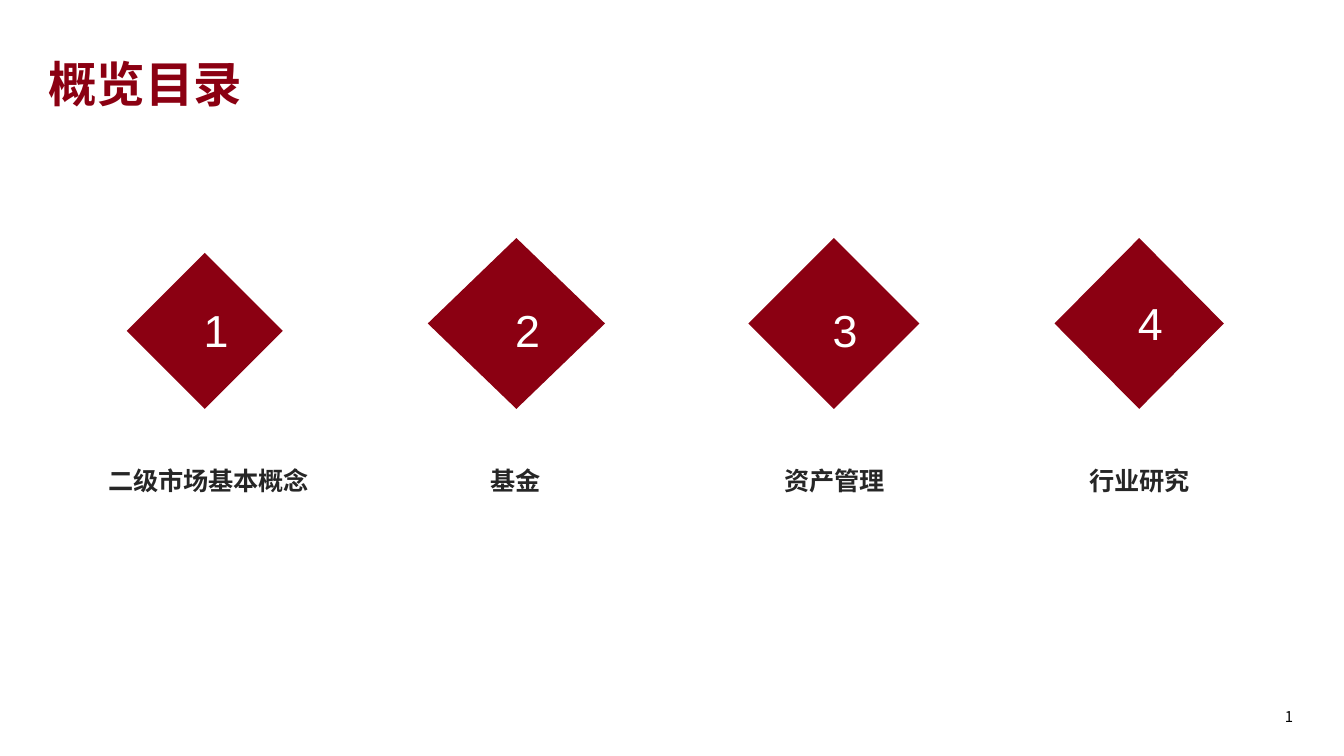
import pptx
import pptx.util
import pptx.dml.color
import pptx.enum.shapes
import pptx.enum.text
import pptx.oxml.ns
import lxml.etree

Cm = pptx.util.Cm
ALIGN = pptx.enum.text.PP_ALIGN
HUES = {"red": "8B0012", "dark": "262626", "black": "000000", "white": "FFFFFF"}
SANS = "Noto Sans CJK SC"
BASE = 7.73
ITEMS = [
    # text, centre, label centre, width, height, number top
]
ITEMS = [
    ("二级市场基本概念", 3.87, 3.94, 2.95, 2.95, 5.69),
    ("基金", 9.76, 9.75, 3.35, 3.23, 5.69),
    ("资产管理", 15.76, 15.77, 3.23, 3.23, 5.69),
    ("行业研究", 21.53, 21.54, 3.2, 3.23, 5.56),
]


def shade(hue):
    return pptx.dml.color.RGBColor.from_string(HUES[hue])


def write(frame, text, size=13.5, font=SANS, hue="dark", bold=False,
          align=ALIGN.CENTER, space=None):
    frame.word_wrap = True
    para = frame.paragraphs[0]
    para.alignment = align
    if space:
        para.line_spacing = space
    run = para.add_run()
    run.text = text
    run.font.size = pptx.util.Pt(size)
    run.font.name = font
    run.font.bold = bold
    run.font.color.rgb = shade(hue)
    props = run.font._element
    east = lxml.etree.SubElement(props, pptx.oxml.ns.qn("a:ea"))
    east.set("typeface", font)


class Deck:
    """Hold the style and the current slide."""

    def __init__(self):
        self.show = pptx.Presentation()
        self.show.slide_width = Cm(25.4)
        self.show.slide_height = Cm(14.29)
        self.slide = self.show.slides.add_slide(self.show.slide_layouts[6])

    def label(self, left, top, width, height, text, **style):
        box = self.slide.shapes.add_textbox(Cm(left), Cm(top), Cm(width), Cm(height))
        write(box.text_frame, text, **style)

    def diamond(self, mid, top, width, height, hue=None):
        kind = pptx.enum.shapes.MSO_SHAPE.DIAMOND
        shape = self.slide.shapes.add_shape(
            kind, Cm(mid - width / 2), Cm(top), Cm(width), Cm(height))
        shape.shadow.inherit = False
        shape.line.fill.background()
        if hue:
            shape.fill.solid()
            shape.fill.fore_color.rgb = shade(hue)
        else:
            shape.fill.background()
        return shape

    def number(self, mid, top, text):
        shape = self.diamond(mid, top, 1.09, 1.09)
        write(shape.text_frame, text, size=24, font="Arial", hue="white")


def main():
    deck = Deck()
    for mark, (text, mid, center, width, height, top) in enumerate(ITEMS, 1):
        deck.diamond(mid, BASE - height, width, height, "red")
        deck.label(center - 2.31, 8.59, 4.62, 0.86, text, bold=True, space=1.14)
        deck.number(mid, top, str(mark))
    deck.label(23.85, 13.26, 0.84, 0.58, "1", size=8, hue="black", align=ALIGN.RIGHT)
    deck.label(0.66, 0.74, 9.4, 1.42, "概览目录", size=26, hue="red", bold=True,
               align=ALIGN.LEFT, space=1.14)
    deck.show.save("out.pptx")


if __name__ == "__main__":
    main()
